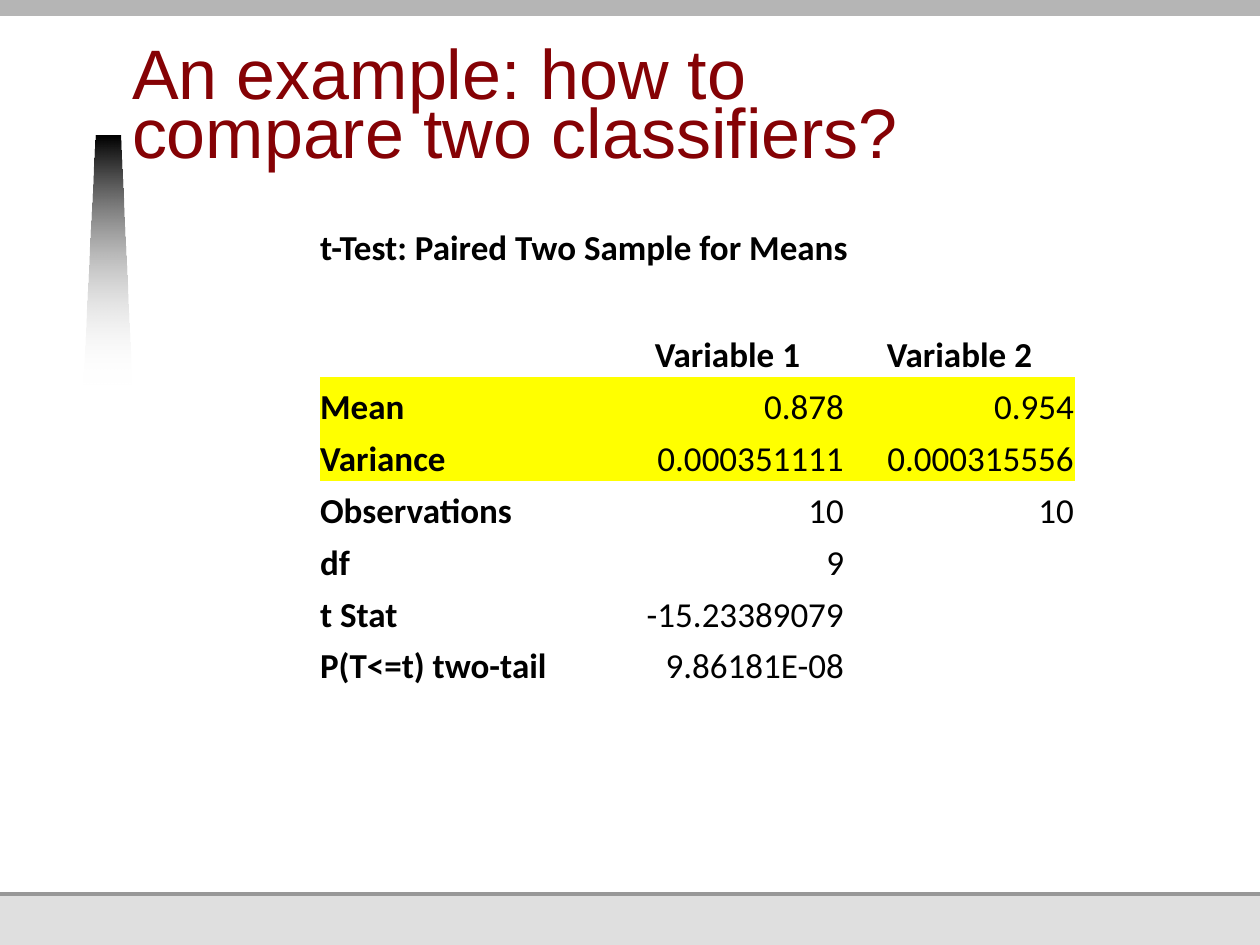
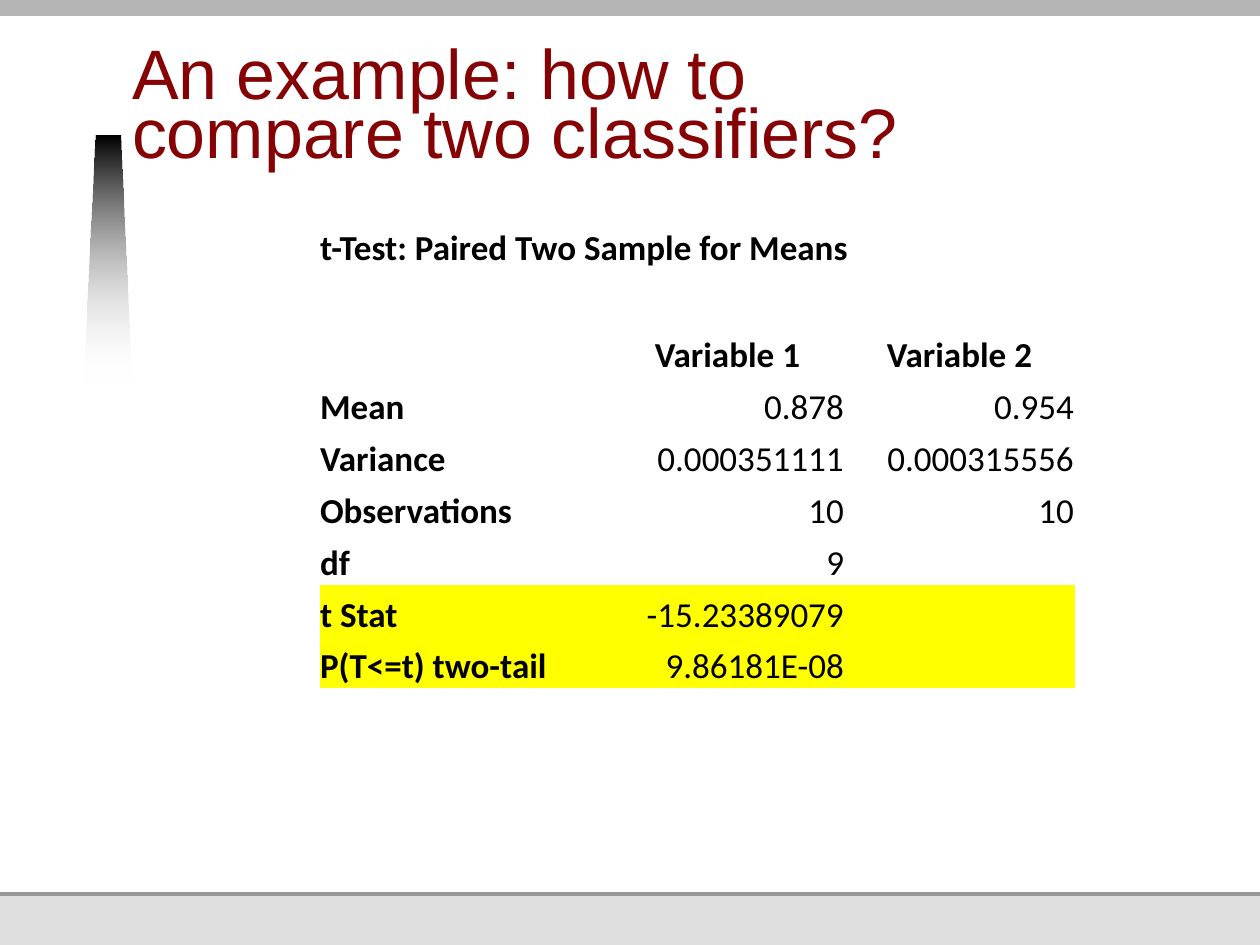
from lxml import etree
from pptx import Presentation
from pptx.dml.color import RGBColor
from pptx.enum.shapes import MSO_SHAPE
from pptx.enum.text import MSO_ANCHOR, MSO_AUTO_SIZE, PP_ALIGN
from pptx.oxml.ns import qn
from pptx.util import Pt

RECT = MSO_SHAPE.RECTANGLE
BOTTOM = MSO_ANCHOR.BOTTOM
LEFT, CENTER, RIGHT = PP_ALIGN.LEFT, PP_ALIGN.CENTER, PP_ALIGN.RIGHT

BLACK = RGBColor(0x00, 0x00, 0x00)
WHITE = RGBColor(0xFF, 0xFF, 0xFF)
MAROON = RGBColor(0x85, 0x02, 0x05)
YELLOW = RGBColor(0xFF, 0xFF, 0x00)
TOP_GREY = RGBColor(0xB5, 0xB5, 0xB5)
RULE_GREY = RGBColor(0x98, 0x98, 0x98)
FOOTER_GREY = RGBColor(0xDF, 0xDF, 0xDF)

WIDTH, HEIGHT = 1260, 945
LAYERS = [  # top, height, colour, each covering part of the one before
    (0, HEIGHT, FOOTER_GREY),
    (224, 672, RULE_GREY),
    (0, 892, WHITE),
    (0, 16, TOP_GREY),
]
TAPER = [(84, 384), (96, 136), (120, 136), (131, 384)]

TITLE = "An example: how to compare two classifiers?"
T_TEST = [
    ("t-Test: Paired Two Sample for Means", "", ""),
    ("", "", ""),
    ("", "Variable 1", "Variable 2"),
    ("Mean", "0.878", "0.954"),
    ("Variance", "0.000351111", "0.000315556"),
    ("Observations", "10", "10"),
    ("df", "9", ""),
    ("t Stat", "-15.23389079", ""),
    ("P(T<=t) two-tail", "9.86181E-08", ""),
]
SPACER_ROW, HEADER_ROW, LAST_ROW = 1, 2, len(T_TEST) - 1
COL_WIDTHS = [291, 234, 230]
ROW_HEIGHT, SPACER_HEIGHT, LAST_HEIGHT = 52, 55, 51
NO_STYLE_NO_GRID = "{2D5ABB26-0587-4C30-8999-92F81FD0307C}"


def px(n):
    """Turn pixels, 126 to the inch, into EMU."""
    return round(n * 914400 / 126)


def add_layer(s, top, height, color):
    sp = s.shapes.add_shape(RECT, 0, px(top), px(WIDTH), px(height))
    sp.shadow.inherit = False
    sp.fill.solid()
    sp.fill.fore_color.rgb = color
    sp.line.fill.background()


def add_taper(s):
    """Draw the wedge beside the title, fading from black to clear."""
    builder = s.shapes.build_freeform(*TAPER[0], scale=px(1))
    builder.add_line_segments(TAPER[1:], close=True)
    sp = builder.convert_to_shape()
    sp.shadow.inherit = False
    sp.line.fill.background()
    sp.fill.gradient()
    sp.fill.gradient_angle = 270
    for stop, color in zip(sp.fill.gradient_stops, (BLACK, WHITE)):
        stop.color.rgb = color
    end_color = sp._element.findall(".//" + qn("a:srgbClr"))[-1]
    etree.SubElement(end_color, qn("a:alpha"), val="0")


def set_title(s, text):
    """Fill the title placeholder and bring it in front of the layers."""
    sp = s.shapes.title
    s.shapes._spTree.append(sp._element)
    sp.left, sp.top, sp.width, sp.height = map(px, (132, 43, 866, 136))
    tf = sp.text_frame
    tf.text = text
    tf.auto_size = MSO_AUTO_SIZE.NONE
    tf.word_wrap = True
    tf.vertical_anchor = BOTTOM
    tf.margin_left = tf.margin_right = tf.margin_top = 0
    tf.margin_bottom = px(6)
    p = tf.paragraphs[0]
    p.alignment = LEFT
    p.line_spacing = Pt(34)
    p.font.name, p.font.size = "Arial", Pt(40)
    p.font.color.rgb = MAROON


def format_cell(cell, text, align, bold, highlighted):
    cell.text = text
    cell.vertical_anchor = BOTTOM
    cell.margin_left = cell.margin_bottom = 0
    cell.margin_right = cell.margin_top = px(1)
    if highlighted:
        cell.fill.solid()
        cell.fill.fore_color.rgb = YELLOW
    else:
        cell.fill.background()
    p = cell.text_frame.paragraphs[0]
    p.alignment = align
    p.font.name, p.font.size, p.font.bold = "Calibri", Pt(20), bold
    p.font.color.rgb = BLACK


def add_t_test_table(s, highlighted_rows):
    heights = [ROW_HEIGHT] * len(T_TEST)
    heights[SPACER_ROW] = SPACER_HEIGHT
    heights[LAST_ROW] = LAST_HEIGHT
    frame = s.shapes.add_table(len(T_TEST), len(COL_WIDTHS), px(320), px(218),
                               px(sum(COL_WIDTHS)), px(sum(heights)))
    table = frame.table
    table.first_row = table.horz_banding = False
    frame._element.find(".//" + qn("a:tableStyleId")).text = NO_STYLE_NO_GRID
    for col, width in zip(table.columns, COL_WIDTHS):
        col.width = px(width)
    for row, height in zip(table.rows, heights):
        row.height = px(height)
    for i, values in enumerate(T_TEST):
        for j, text in enumerate(values):
            value_align = CENTER if i == HEADER_ROW else RIGHT
            format_cell(table.cell(i, j), text,
                        align=value_align if j else LEFT,
                        bold=j == 0 or i <= HEADER_ROW,
                        highlighted=i in highlighted_rows)
    table.cell(0, 0).merge(table.cell(0, len(COL_WIDTHS) - 1))


def add_t_test_slide(prs, highlighted_rows):
    s = prs.slides.add_slide(prs.slide_layouts[5])
    for layer in LAYERS:
        add_layer(s, *layer)
    add_taper(s)
    set_title(s, TITLE)
    add_t_test_table(s, highlighted_rows)


def main():
    prs = Presentation()
    prs.slide_width, prs.slide_height = px(WIDTH), px(HEIGHT)
    for highlighted_rows in [(3, 4), (7, 8)]:
        add_t_test_slide(prs, highlighted_rows)
    prs.save("out.pptx")


if __name__ == "__main__":
    main()
